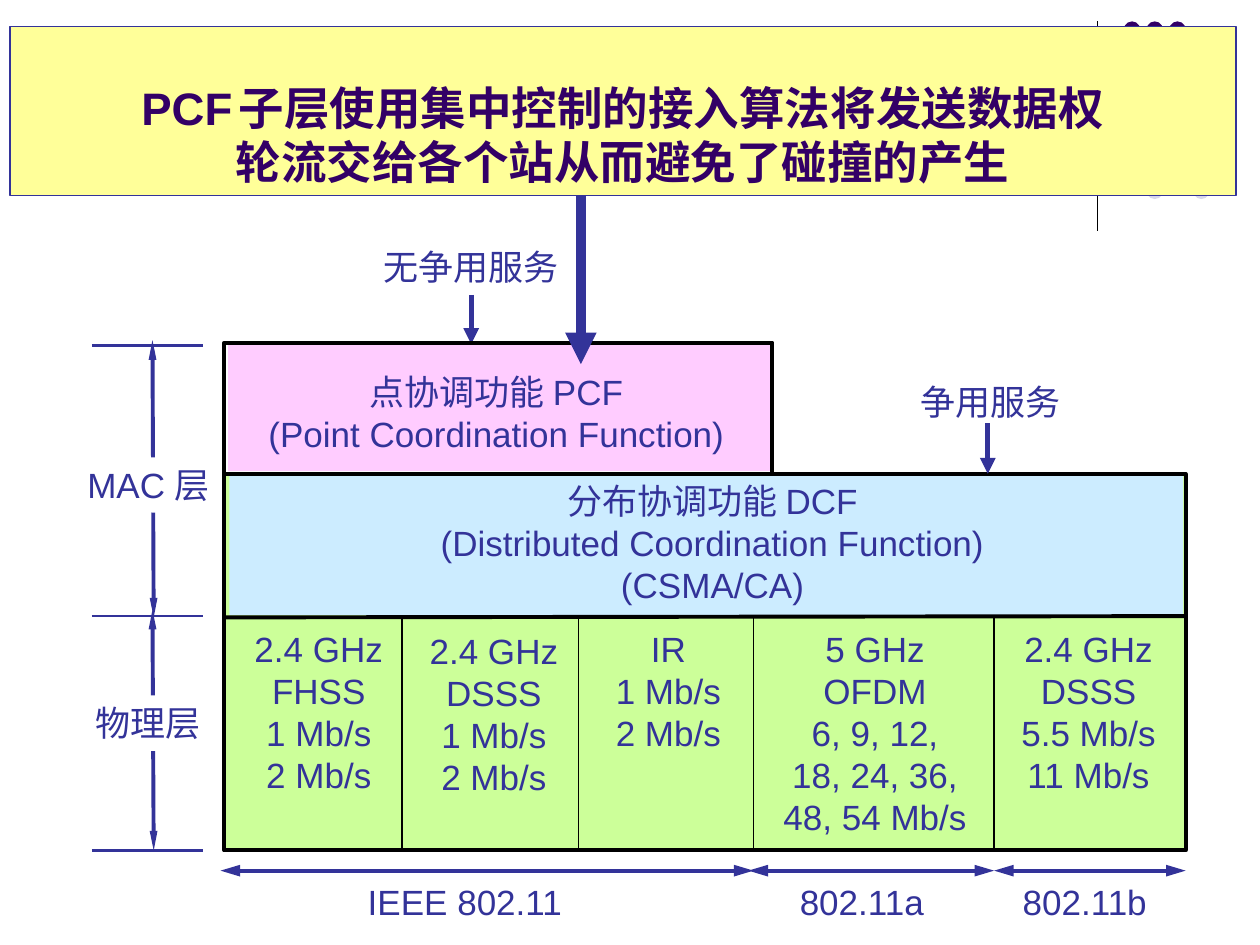
import pptx
import pptx.util
from lxml import etree
from pptx.dml.color import RGBColor
from pptx.enum.shapes import MSO_CONNECTOR, MSO_SHAPE
from pptx.enum.text import MSO_ANCHOR, MSO_AUTO_SIZE, PP_ALIGN
from pptx.oxml.ns import qn
from pptx.util import Inches

BLACK = RGBColor(0x00, 0x00, 0x00)
WHITE = RGBColor(0xFF, 0xFF, 0xFF)
BLUE = RGBColor(0x33, 0x33, 0x99)
PURPLE = RGBColor(0x33, 0x00, 0x66)
LAVENDER = RGBColor(0xD8, 0xD8, 0xEC)
YELLOW = RGBColor(0xFF, 0xFF, 0x99)
GREEN = RGBColor(0xCC, 0xFF, 0x99)
SKY = RGBColor(0xCC, 0xEC, 0xFF)
PINK = RGBColor(0xFF, 0xCC, 0xFF)

STACK_LEFT, STACK_RIGHT = 1.78, 9.41
PCF_TOP, DCF_TOP, PHY_TOP, PHY_BOTTOM = 2.72, 3.76, 4.89, 6.75


class Diagram:
    font_name = "Arial"
    font_size = 20
    side_margin = 0.04

    def __init__(self, slide):
        self.slide = slide

    def shape(self, box, fill=None, line=None, width=0.75, kind=MSO_SHAPE.RECTANGLE):
        shape = self.slide.shapes.add_shape(kind, *map(Inches, box))
        shape.shadow.inherit = False
        if fill is None:
            shape.fill.background()
        else:
            shape.fill.solid()
            shape.fill.fore_color.rgb = fill
        if line is None:
            shape.line.fill.background()
        else:
            shape.line.color.rgb = line
            shape.line.width = pptx.util.Pt(width)
        return shape

    def format(self, run, color=BLUE, size=None, bold=False):
        run.font.name = self.font_name
        run.font.size = pptx.util.Pt(size or self.font_size)
        run.font.color.rgb = color
        run.font.bold = bold

    def text(self, box, text, fill=None):
        """Add centred lines, with narrow side margins so that none of them breaks."""
        text_box = self.slide.shapes.add_textbox(*map(Inches, box))
        if fill is not None:
            text_box.fill.solid()
            text_box.fill.fore_color.rgb = fill
        frame = text_box.text_frame
        frame.text = text
        frame.word_wrap = False
        frame.auto_size = MSO_AUTO_SIZE.SHAPE_TO_FIT_TEXT
        frame.margin_left = frame.margin_right = Inches(self.side_margin)
        for paragraph in frame.paragraphs:
            paragraph.alignment = PP_ALIGN.CENTER
            for run in paragraph.runs:
                self.format(run)

    def label(self, left, top, width, text, fill=WHITE):
        self.text((left, top, width, 0.44), text, fill)

    def title(self, box, parts):
        """Add the title banner; parts are (text, size) runs of one paragraph."""
        frame = self.shape(box, YELLOW, BLUE).text_frame
        frame.word_wrap = True
        frame.vertical_anchor = MSO_ANCHOR.BOTTOM
        paragraph = frame.paragraphs[0]
        paragraph.alignment = PP_ALIGN.CENTER
        for text, size in parts:
            if text == "\v":
                paragraph.add_line_break()
                continue
            run = paragraph.add_run()
            run.text = text
            self.format(run, PURPLE, size, True)

    def line(self, start, end, color=BLUE, width=2.25, ends=(), head=("med", "med")):
        """Draw a line; ends lists "headEnd" and/or "tailEnd", head is (width, length)."""
        connector = self.slide.shapes.add_connector(
            MSO_CONNECTOR.STRAIGHT, *map(Inches, (*start, *end)))
        connector.line.color.rgb = color
        connector.line.width = pptx.util.Pt(width)
        outline = connector.line._get_or_add_ln()
        for name in ends:
            etree.SubElement(outline, qn("a:" + name),
                             type="triangle", w=head[0], len=head[1])
        etree.SubElement(connector._element.spPr, qn("a:effectLst"))

    def span(self, start, end, head_width):
        """Draw a dimension line with a long arrowhead at each end."""
        self.line(start, end, ends=("headEnd", "tailEnd"), head=(head_width, "lg"))


def draw_header(diagram):
    diagram.line((8.71, 0.17), (8.71, 1.83), BLACK, 0.75)
    dots = [(8.92, 0.17, PURPLE), (9.1, 0.17, PURPLE), (9.28, 0.17, PURPLE),
            (9.1, 1.45, LAVENDER), (9.47, 1.45, LAVENDER)]
    for left, top, color in dots:
        diagram.shape((left, top, 0.13, 0.13), color, kind=MSO_SHAPE.OVAL)
    diagram.title((0.08, 0.21, 9.73, 1.34),
                  [("PCF", 26), (" ", 13), ("子层使用集中控制的接入算法将发送数据权", 26),
                   ("\v", 26), ("轮流交给各个站从而避免了碰撞的产生", 26)])


def draw_layers(diagram):
    diagram.span((1.21, 2.7), (1.22, 4.9), "sm")
    diagram.span((1.21, 4.84), (1.22, PHY_BOTTOM), "sm")
    diagram.label(0.56, 3.63, 1.24, "MAC 层")
    diagram.label(0.66, 5.52, 1.03, "物理层")
    for y in (2.74, PHY_TOP, PHY_BOTTOM):
        diagram.line((0.73, y), (1.61, y), width=1.5)


def draw_mac(diagram):
    diagram.shape((STACK_LEFT, DCF_TOP, STACK_RIGHT - STACK_LEFT, PHY_BOTTOM - DCF_TOP),
                  GREEN, BLACK, 2.25)
    diagram.shape((1.82, 3.78, 7.57, 1.1), SKY)
    diagram.shape((1.81, PCF_TOP, 4.32, 1.02), PINK)
    diagram.label(2.95, 1.9, 1.58, "无争用服务", None)
    diagram.label(7.21, 2.97, 1.31, "争用服务", None)
    diagram.line((7.84, 3.36), (7.84, DCF_TOP), width=3, ends=["tailEnd"])
    diagram.line((3.74, 2.34), (3.74, 2.73), width=3, ends=["tailEnd"])
    diagram.text((3.4, 3.76, 4.51, 1.1),
                 "分布协调功能 DCF\n(Distributed Coordination Function)\n(CSMA/CA)")
    diagram.text((2.03, 2.89, 3.82, 0.77),
                 "点协调功能 PCF\n(Point Coordination Function)")
    diagram.shape((STACK_LEFT, PCF_TOP, 4.35, DCF_TOP - PCF_TOP), None, BLACK, 2.25)


def draw_physical(diagram):
    diagram.line((STACK_LEFT, 4.9), (STACK_RIGHT, PHY_TOP), BLACK)
    columns = [
        (1.92, 4.93, 1.22, 1.44, "2.4 GHz\nFHSS\n1 Mb/s\n2 Mb/s"),
        (3.31, 4.95, 1.22, 1.44, "2.4 GHz\nDSSS\n1 Mb/s\n2 Mb/s"),
        (4.79, 4.93, 1.03, 1.1, "IR\n1 Mb/s\n2 Mb/s"),
        (6.12, 4.93, 1.65, 1.77, "5 GHz\nOFDM\n6, 9, 12,\n18, 24, 36,\n48, 54 Mb/s"),
        (8.01, 4.93, 1.26, 1.44, "2.4 GHz\nDSSS\n5.5 Mb/s\n11 Mb/s"),
    ]
    for *box, text in columns:
        diagram.text(box, text)
    for x in (3.19, 4.59, 5.98, 7.89):
        diagram.line((x, PHY_TOP), (x, PHY_BOTTOM), BLACK, 0.75)


def draw_standards(diagram):
    standards = [(1.75, 5.98, 2.81, 1.76, "IEEE 802.11"),
                 (5.94, 7.89, 6.24, 1.2, "802.11a"),
                 (7.89, STACK_RIGHT, 8.01, 1.2, "802.11b")]
    for start, end, left, width, name in standards:
        diagram.label(left, 6.94, width, name)
        diagram.span((start, 6.91), (end, 6.91), "med")


def main():
    presentation = pptx.Presentation()
    presentation.slide_width = Inches(10)
    presentation.slide_height = Inches(7.5)
    diagram = Diagram(presentation.slides.add_slide(presentation.slide_layouts[6]))
    draw_header(diagram)
    draw_layers(diagram)
    draw_mac(diagram)
    draw_physical(diagram)
    draw_standards(diagram)
    diagram.line((4.61, 1.55), (4.61, 2.89), width=6, ends=["tailEnd"])
    presentation.save("out.pptx")


if __name__ == "__main__":
    main()
